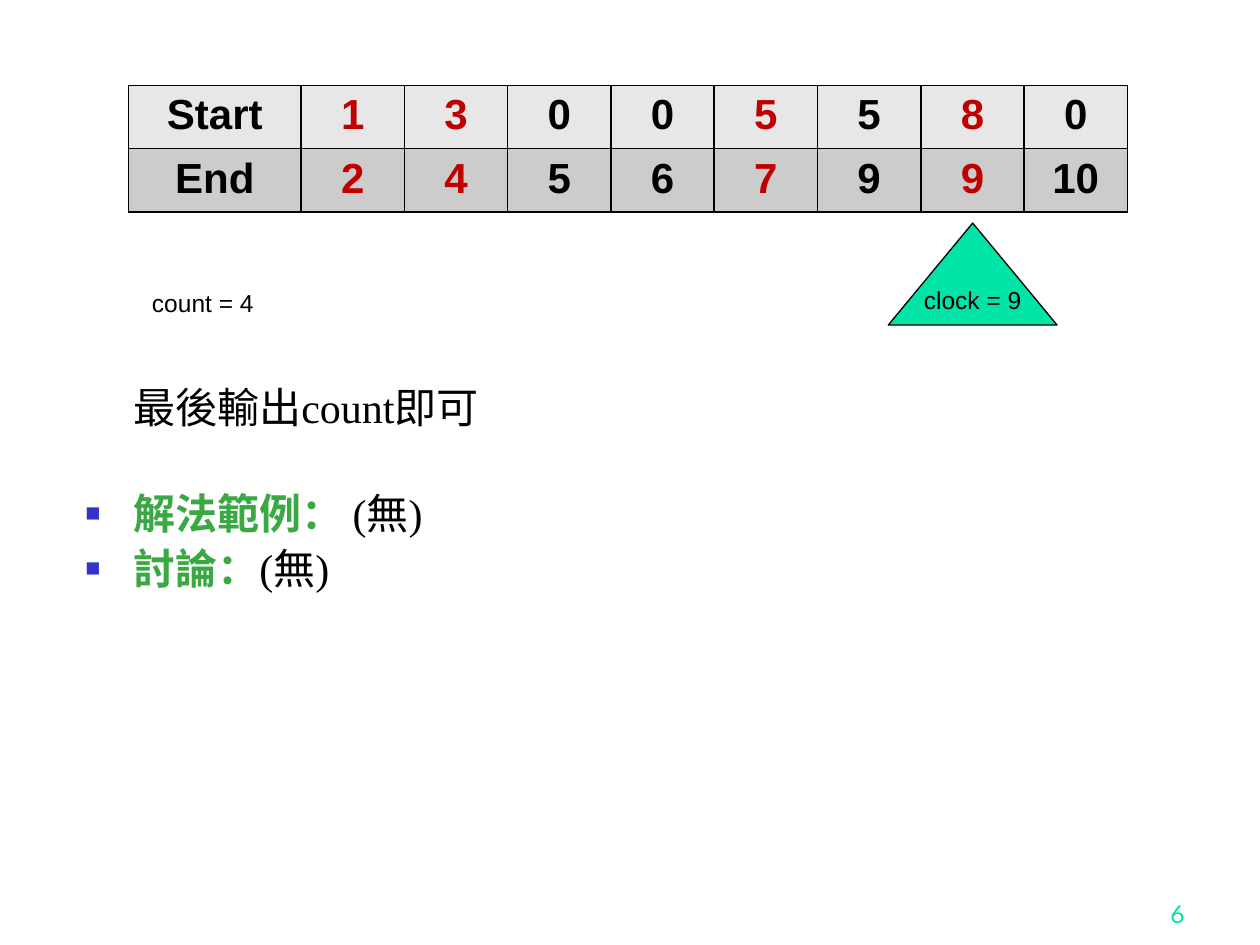
from pptx import Presentation
from pptx.dml.color import RGBColor
from pptx.enum.shapes import MSO_SHAPE
from pptx.enum.text import MSO_ANCHOR, PP_ALIGN
from pptx.oxml import parse_xml
from pptx.oxml.ns import nsdecls
from pptx.util import Inches, Pt

JOBS = [
    (1, 2, True), (3, 4, True), (0, 5, False), (0, 6, False),
    (5, 7, True), (5, 9, False), (8, 9, True), (0, 10, False),
]
BODY = [
    {"head": "", "text": "最後輸出count即可", "before": 0},
    {"head": "解法範例：", "text": " (無)", "before": 29.7},
    {"head": "討論：", "text": "(無)", "before": 0},
]
COUNT, CLOCK, PAGE = "count = 4", "clock = 9", "6"

THEME = {
    "ink": "000000", "chosen": "C00000", "head": "3BA943",
    "bullet": "3333CC", "accent": "00E4A8", "rows": ("E7E7E7", "CCCCCC"),
    "large": 24, "small": 14, "leading": 31,
    "sans": "Arial", "serif": "Times New Roman", "number": "Lato",
}


def rgb(name):
    return RGBColor.from_string(THEME.get(name, name))


def add_run(p, text, color, size, font, bold=False):
    r = p.add_run()
    r.text = text
    for key, value in {"name": THEME[font], "size": Pt(THEME[size]), "bold": bold}.items():
        setattr(r.font, key, value)
    r.font.color.rgb = rgb(color)


def add_box(s, box, wrap=True, anchor=MSO_ANCHOR.TOP):
    tf = s.shapes.add_textbox(*map(Inches, box)).text_frame
    tf.word_wrap, tf.vertical_anchor = wrap, anchor
    return tf


def add_label(tf, text, color, font, align):
    p = tf.paragraphs[0]
    p.alignment = align
    add_run(p, text, color, "small", font)


def set_indent(p, bullet):
    pPr = p._p.get_or_add_pPr()
    pPr.set("marL", str(Inches(0.38)))
    pPr.set("indent", str(-Inches(0.38) if bullet else 0))
    if bullet:
        for xml in (
            f'<a:buClr {nsdecls("a")}><a:srgbClr val="{THEME["bullet"]}"/></a:buClr>',
            f'<a:buSzPct {nsdecls("a")} val="60000"/>',
            f'<a:buFont {nsdecls("a")} typeface="Arial"/>',
            f'<a:buChar {nsdecls("a")} char="■"/>',
        ):
            pPr.append(parse_xml(xml))


def add_borders(cell):
    tcPr = cell._tc.get_or_add_tcPr()
    for i, side in enumerate(("lnL", "lnR", "lnT", "lnB")):
        tcPr.insert(i, parse_xml(
            f'<a:{side} {nsdecls("a")} w="{Pt(1)}"><a:solidFill>'
            f'<a:srgbClr val="{THEME["ink"]}"/></a:solidFill></a:{side}>'))


def add_body(s):
    tf = add_box(s, (0.58, 2.95, 8.83, 2))
    for i, item in enumerate(BODY):
        p = tf.add_paragraph() if i else tf.paragraphs[0]
        p.line_spacing = Pt(THEME["leading"])
        p.space_before = Pt(item["before"])
        set_indent(p, bool(item["head"]))
        if item["head"]:
            add_run(p, item["head"], "head", "large", "serif", True)
        add_run(p, item["text"], "ink", "large", "serif")


def add_schedule(s):
    columns = [("Start", "End", False)] + JOBS
    frame = s.shapes.add_table(2, len(columns), *map(Inches, (1.02, 0.68, 7.95, 0.82)))
    table = frame.table
    for c, (*values, chosen) in enumerate(columns):
        table.columns[c].width = Inches(0.82 if c else 1.37)
        for r, value in enumerate(values):
            cell = table.cell(r, c)
            cell.fill.solid()
            cell.fill.fore_color.rgb = rgb(THEME["rows"][r])
            add_borders(cell)
            p = cell.text_frame.paragraphs[0]
            p.alignment = PP_ALIGN.CENTER
            add_run(p, str(value), "chosen" if chosen else "ink", "large", "sans", True)


def add_clock(s):
    sp = s.shapes.add_shape(MSO_SHAPE.ISOSCELES_TRIANGLE, *map(Inches, (7.05, 1.77, 1.34, 0.81)))
    sp.shadow.inherit = False
    sp.fill.solid()
    sp.fill.fore_color.rgb = rgb("accent")
    sp.line.color.rgb = rgb("ink")
    sp.line.width = Pt(0.75)
    tf = sp.text_frame
    tf.word_wrap, tf.vertical_anchor = False, MSO_ANCHOR.MIDDLE
    add_label(tf, CLOCK, "ink", "sans", PP_ALIGN.CENTER)


def main():
    prs = Presentation()
    prs.slide_width, prs.slide_height = Inches(10), Inches(7.5)
    s = prs.slides.add_slide(prs.slide_layouts[6])
    add_body(s)
    add_label(add_box(s, (7.42, 6.92, 2.08, 0.5), anchor=MSO_ANCHOR.BOTTOM),
              PAGE, "accent", "number", PP_ALIGN.RIGHT)
    add_schedule(s)
    add_label(add_box(s, (0.37, 2.24, 2.48, 0.34)), COUNT, "ink", "sans", PP_ALIGN.CENTER)
    add_clock(s)
    prs.save("out.pptx")


if __name__ == "__main__":
    main()
